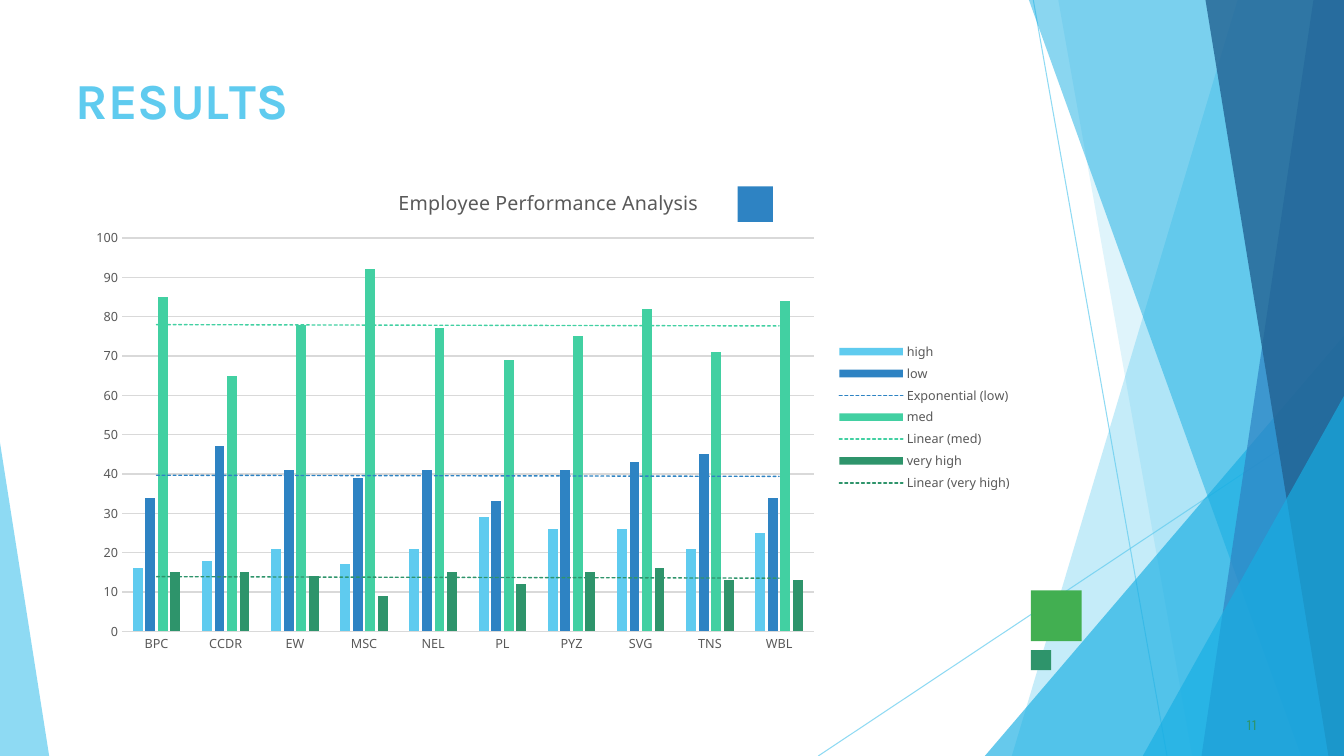
from dataclasses import dataclass

from pptx import Presentation
from pptx.chart.data import CategoryChartData
from pptx.dml.color import RGBColor
from pptx.enum.chart import XL_CHART_TYPE, XL_LEGEND_POSITION, XL_TICK_MARK
from pptx.enum.shapes import MSO_CONNECTOR, MSO_SHAPE
from pptx.oxml import parse_xml
from pptx.oxml.ns import nsdecls, qn
from pptx.util import Cm, Pt

WIDE, HIGH = 33.87, 19.05


@dataclass(frozen=True)
class Theme:
    sky: str = "5FCBEF"
    cyan: str = "17AEE3"
    blue: str = "2E83C3"
    navy: str = "226292"
    mint: str = "42D0A2"
    pine: str = "2E946B"
    leaf: str = "42AF51"
    gray: str = "595959"
    rule: str = "D9D9D9"
    head: str = "Karla"
    body: str = "Noto Sans"
    title: int = 36
    page: int = 11
    chart: int = 14
    label: int = 9


class Deck:
    def __init__(self, theme):
        self.theme = theme
        self.file = Presentation()
        self.file.slide_width, self.file.slide_height = Cm(WIDE), Cm(HIGH)
        self.slide = self.file.slides.add_slide(self.file.slide_layouts[6])
        self.shapes = self.slide.shapes

    def fade(self, shape, alpha):
        """Set the opacity, in percent, of every colour of the shape."""
        for color in shape.element.spPr.iter(qn("a:srgbClr")):
            color.append(parse_xml(f'<a:alpha {nsdecls("a")} val="{alpha * 1000}"/>'))

    def paint(self, shape, color, alpha):
        shape.shadow.inherit = False
        shape.fill.solid()
        shape.fill.fore_color.rgb = RGBColor.from_string(color)
        shape.line.fill.background()
        if alpha < 100:
            self.fade(shape, alpha)

    def line(self, x1, y1, x2, y2, color, alpha):
        line = self.shapes.add_connector(
            MSO_CONNECTOR.STRAIGHT, Cm(x1), Cm(y1), Cm(x2), Cm(y2))
        line.line.color.rgb = RGBColor.from_string(color)
        line.line.width = Pt(0.75)
        line.element.spPr.append(parse_xml(f'<a:effectLst {nsdecls("a")}/>'))
        self.fade(line, alpha)

    def band(self, top, low, color, alpha):
        """Fill from a slanted left side to the right edge of the slide."""
        form = self.shapes.build_freeform(Cm(top), 0)
        form.add_line_segments(
            [(Cm(x), Cm(y)) for x, y in ((WIDE, 0), (WIDE, HIGH), (low, HIGH))])
        self.paint(form.convert_to_shape(), color, alpha)

    def wedge(self, x, y, w, tip, color, alpha):
        """Triangle standing on the bottom edge; tip is 0 for left, 1 for right."""
        shape = self.shapes.add_shape(
            MSO_SHAPE.ISOSCELES_TRIANGLE, Cm(x), Cm(y), Cm(w), Cm(HIGH - y))
        shape.adjustments[0] = tip
        self.paint(shape, color, alpha)

    def square(self, x, y, side, color):
        shape = self.shapes.add_shape(
            MSO_SHAPE.RECTANGLE, Cm(x), Cm(y), Cm(side), Cm(side))
        self.paint(shape, color, 100)

    def font(self, font, size, color, name):
        font.size, font.name = Pt(size), name
        font.color.rgb = RGBColor.from_string(color)

    def text(self, x, y, w, h, runs, size, color, inset, before, bold=False):
        """Write runs given as (words, letter spacing in points)."""
        frame = self.shapes.add_textbox(Cm(x), Cm(y), Cm(w), Cm(h)).text_frame
        frame.word_wrap = True
        frame.margin_left, frame.margin_top = Cm(inset), Cm(0.03)
        frame.margin_right = frame.margin_bottom = 0
        para = frame.paragraphs[0]
        para.space_before = Pt(before)
        for words, gap in runs:
            run = para.add_run()
            run.text = words
            run.font.bold = bold
            self.font(run.font, size, color, self.theme.head)
            run.font._element.set("spc", str(round(gap * 100)))

    def trend(self, series, kind, color):
        series._element.find(qn("c:cat")).addprevious(parse_xml(
            f'<c:trendline {nsdecls("c", "a")}><c:spPr><a:ln w="12700" cap="rnd">'
            f'<a:solidFill><a:srgbClr val="{color}"/></a:solidFill>'
            '<a:prstDash val="sysDash"/></a:ln></c:spPr>'
            f'<c:trendlineType val="{kind}"/><c:dispRSqr val="0"/>'
            '<c:dispEq val="0"/></c:trendline>'))

    def frame(self, chart, x, y, w, h):
        """Fix the inner plot area, in shares of the chart, and clear its back."""
        area = chart._chartSpace.chart.plotArea
        for old in area.findall(qn("c:layout")):
            area.remove(old)
        spots = "".join(f'<c:{key} val="{val}"/>'
                        for key, val in zip("xywh", (x, y, w, h)))
        area.insert(0, parse_xml(
            f'<c:layout {nsdecls("c")}><c:manualLayout>'
            '<c:layoutTarget val="inner"/><c:xMode val="edge"/><c:yMode val="edge"/>'
            f'{spots}</c:manualLayout></c:layout>'))
        chart._chartSpace.chart.addnext(parse_xml(
            f'<c:spPr {nsdecls("c", "a")}><a:noFill/>'
            '<a:ln><a:noFill/></a:ln></c:spPr>'))

    def chart(self, x, y, w, h, title, names, rows):
        """Draw columns; a row is (name, values, colour, trend kind or None)."""
        theme = self.theme
        rule = RGBColor.from_string(theme.rule)
        data = CategoryChartData()
        data.categories = names
        for name, vals, _, _ in rows:
            data.add_series(name, vals)
        chart = self.shapes.add_chart(
            XL_CHART_TYPE.COLUMN_CLUSTERED, Cm(x), Cm(y), Cm(w), Cm(h), data).chart
        self.font(chart.font, theme.label, theme.gray, theme.body)
        self.frame(chart, 0.05, 0.14, 0.73, 0.79)

        chart.has_title = True
        run = chart.chart_title.text_frame.paragraphs[0].add_run()
        run.text = title
        run.font.bold = False
        self.font(run.font, theme.chart, theme.gray, theme.body)
        chart.has_legend = True
        chart.legend.position = XL_LEGEND_POSITION.RIGHT
        chart.legend.include_in_layout = False
        self.font(chart.legend.font, theme.label, theme.gray, theme.body)

        cats, vals = chart.category_axis, chart.value_axis
        for axis in (cats, vals):
            axis.major_tick_mark = axis.minor_tick_mark = XL_TICK_MARK.NONE
            self.font(axis.tick_labels.font, theme.label, theme.gray, theme.body)
        vals.minimum_scale, vals.maximum_scale, vals.major_unit = 0, 100, 10
        vals.format.line.fill.background()
        for edge in (cats.format.line, vals.major_gridlines.format.line):
            edge.color.rgb = rule
            edge.width = Pt(1)

        plot = chart.plots[0]
        plot.gap_width, plot.overlap, plot.vary_by_categories = 219, -27, False
        for series, (_, _, color, kind) in zip(plot.series, rows):
            series.format.fill.solid()
            series.format.fill.fore_color.rgb = RGBColor.from_string(color)
            if kind:
                self.trend(series, kind, color)


def main():
    theme = Theme()
    deck = Deck(theme)

    deck.line(26.04, 0, 29.41, HIGH, theme.sky, 70)
    deck.line(WIDE, 10.24, 20.62, HIGH, theme.sky, 70)
    deck.band(31.19, 25.5, theme.sky, 36)
    deck.band(26.67, 30.05, theme.sky, 20)
    deck.wedge(24.82, 8.46, 9.05, 1, theme.cyan, 66)
    deck.band(25.93, 32.79, theme.cyan, 50)
    deck.band(33.1, 30.28, theme.blue, 70)
    deck.band(30.38, 33.48, theme.navy, 80)
    deck.wedge(28.8, 9.98, 5.07, 1, theme.cyan, 66)
    deck.wedge(0, 11.15, 1.24, 0, theme.sky, 70)

    deck.square(25.98, 14.88, 1.28, theme.leaf)
    deck.square(18.59, 4.7, 0.89, theme.blue)
    deck.square(25.98, 16.38, 0.51, theme.pine)

    title = [("R", 0), ("E", -0.4), ("S", 0.1), ("U", -0.3), ("L", -4), ("TS", 0)]
    deck.text(1.88, 1.7, 23.88, 1.57, title, theme.title, theme.sky, 0.03, 1, True)
    deck.text(31.32, 17.98, 0.64, 0.53, [("11", 0.1)],
              theme.page, theme.pine, 0.1, 0.6)

    units = ["BPC", "CCDR", "EW", "MSC", "NEL", "PL", "PYZ", "SVG", "TNS", "WBL"]
    rows = [
        ("high", (16, 18, 21, 17, 21, 29, 26, 26, 21, 25), theme.sky, None),
        ("low", (34, 47, 41, 39, 41, 33, 41, 43, 45, 34), theme.blue, "exp"),
        ("med", (85, 65, 78, 92, 77, 69, 75, 82, 71, 84), theme.mint, "linear"),
        ("very high", (15, 15, 14, 9, 15, 12, 15, 16, 13, 13), theme.pine, "linear"),
    ]
    deck.chart(1.88, 4.24, 23.88, 12.55, "Employee Performance Analysis", units, rows)
    deck.file.save("out.pptx")


if __name__ == "__main__":
    main()
